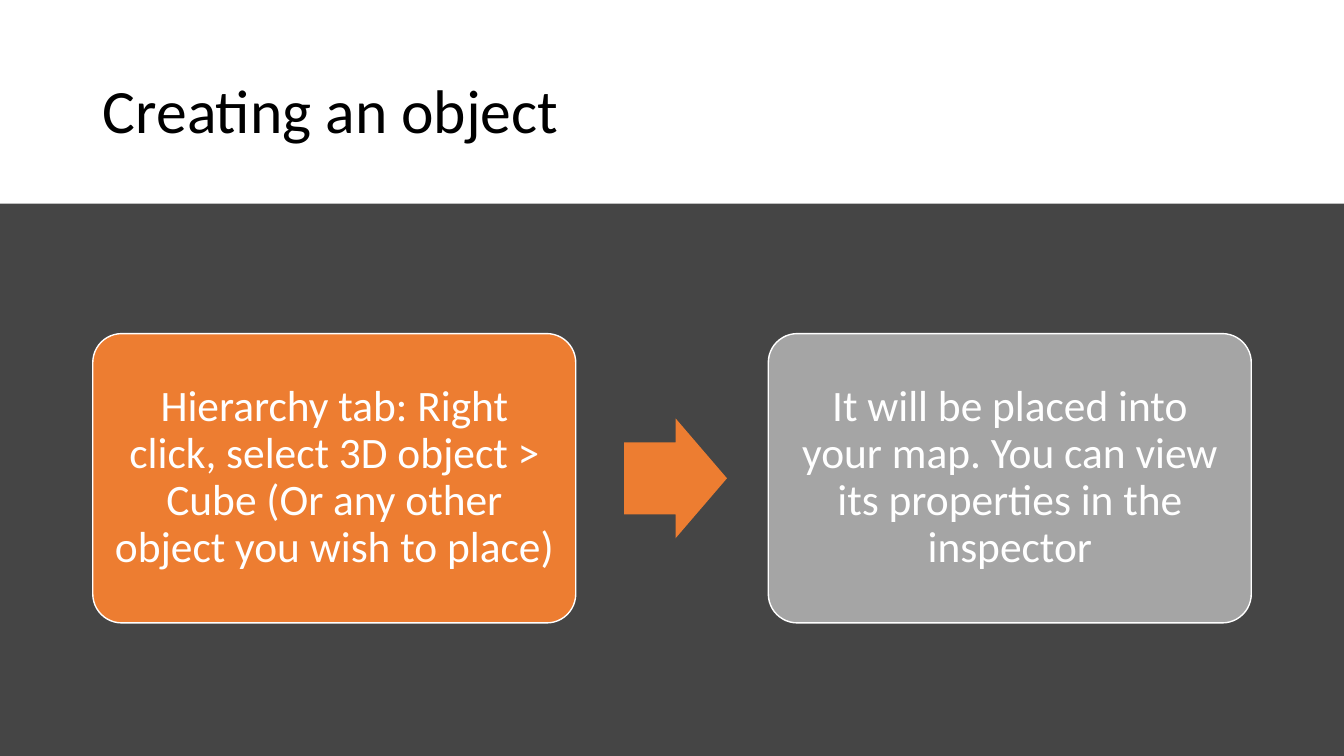
from dataclasses import dataclass

from pptx import Presentation
from pptx.dml.color import RGBColor
from pptx.enum.shapes import MSO_SHAPE as Preset
from pptx.enum.text import MSO_ANCHOR as Anchor, MSO_AUTO_SIZE as AutoSize, PP_ALIGN as Align
from pptx.shapes.autoshape import Shape
from pptx.slide import Slide
from pptx.text.text import TextFrame
from pptx.util import Inches, Pt

COLORS = {
    "background": "454545",
    "white": "FFFFFF",
    "black": "000000",
    "orange": "ED7D31",
    "gray": "A5A5A5",
}
FONT = "Calibri"
STEP_TOP, STEP_WIDTH, STEP_HEIGHT = 3.31, 4.79, 2.87
ARROW_WIDTH, ARROW_HEIGHT = 1.02, 1.19
ARROW_LEFT = 6.19


@dataclass
class Step:
    left: float
    color: str
    text: str


STEPS = [
    Step(0.92, "orange", "Hierarchy tab: Right click, select 3D object > Cube (Or any other object you wish to place)"),
    Step(7.62, "gray", "It will be placed into your map. You can view its properties in the inspector"),
]


def rgb(color: str) -> RGBColor:
    return RGBColor.from_string(COLORS[color])


def add_filled(slide: Slide, preset: Preset, left: float, top: float,
               width: float, height: float, color: str) -> Shape:
    filled = slide.shapes.add_shape(preset, Inches(left), Inches(top), Inches(width), Inches(height))
    filled.shadow.inherit = False
    filled.fill.solid()
    filled.fill.fore_color.rgb = rgb(color)
    filled.line.fill.background()
    return filled


def write(frame: TextFrame, text: str, size: int, color: str, align: Align) -> None:
    frame.word_wrap = True
    frame.auto_size = AutoSize.NONE
    frame.vertical_anchor = Anchor.MIDDLE
    paragraph = frame.paragraphs[0]
    paragraph.alignment = align
    paragraph.line_spacing = 0.9
    paragraph.space_before = Pt(0)
    run = paragraph.add_run()
    run.text = text
    run.font.name = FONT
    run.font.size = Pt(size)
    run.font.color.rgb = rgb(color)


def add_title(slide: Slide, text: str) -> None:
    title = slide.shapes.title
    title.left, title.top = Inches(0.92), Inches(0.4)
    title.width, title.height = Inches(11.5), Inches(1.45)
    write(title.text_frame, text, 44, "black", Align.LEFT)


def add_step(slide: Slide, step: Step) -> None:
    card = add_filled(slide, Preset.ROUNDED_RECTANGLE, step.left, STEP_TOP, STEP_WIDTH, STEP_HEIGHT, step.color)
    card.adjustments[0] = 0.1
    card.line.color.rgb = rgb("white")
    card.line.width = Pt(1)
    frame = card.text_frame
    frame.margin_left = frame.margin_right = Inches(0.13)
    frame.margin_top = frame.margin_bottom = Inches(0.13)
    write(frame, step.text, 31, "white", Align.CENTER)


def add_arrow(slide: Slide) -> None:
    top = STEP_TOP + (STEP_HEIGHT - ARROW_HEIGHT) / 2
    arrow = add_filled(slide, Preset.RIGHT_ARROW, ARROW_LEFT, top, ARROW_WIDTH, ARROW_HEIGHT, "orange")
    arrow.adjustments[0] = 0.6
    arrow.adjustments[1] = 0.5


def main() -> None:
    deck = Presentation()
    deck.slide_width, deck.slide_height = Inches(13.33), Inches(7.5)
    slide = deck.slides.add_slide(deck.slide_layouts[5])
    slide.background.fill.solid()
    slide.background.fill.fore_color.rgb = rgb("background")

    header = add_filled(slide, Preset.RECTANGLE, 0, -0.01, 13.33, 2.03, "white")
    slide.shapes.title.element.addprevious(header.element)
    add_title(slide, "Creating an object")

    first, second = STEPS
    add_step(slide, first)
    add_arrow(slide)
    add_step(slide, second)
    deck.save("out.pptx")


if __name__ == "__main__":
    main()
